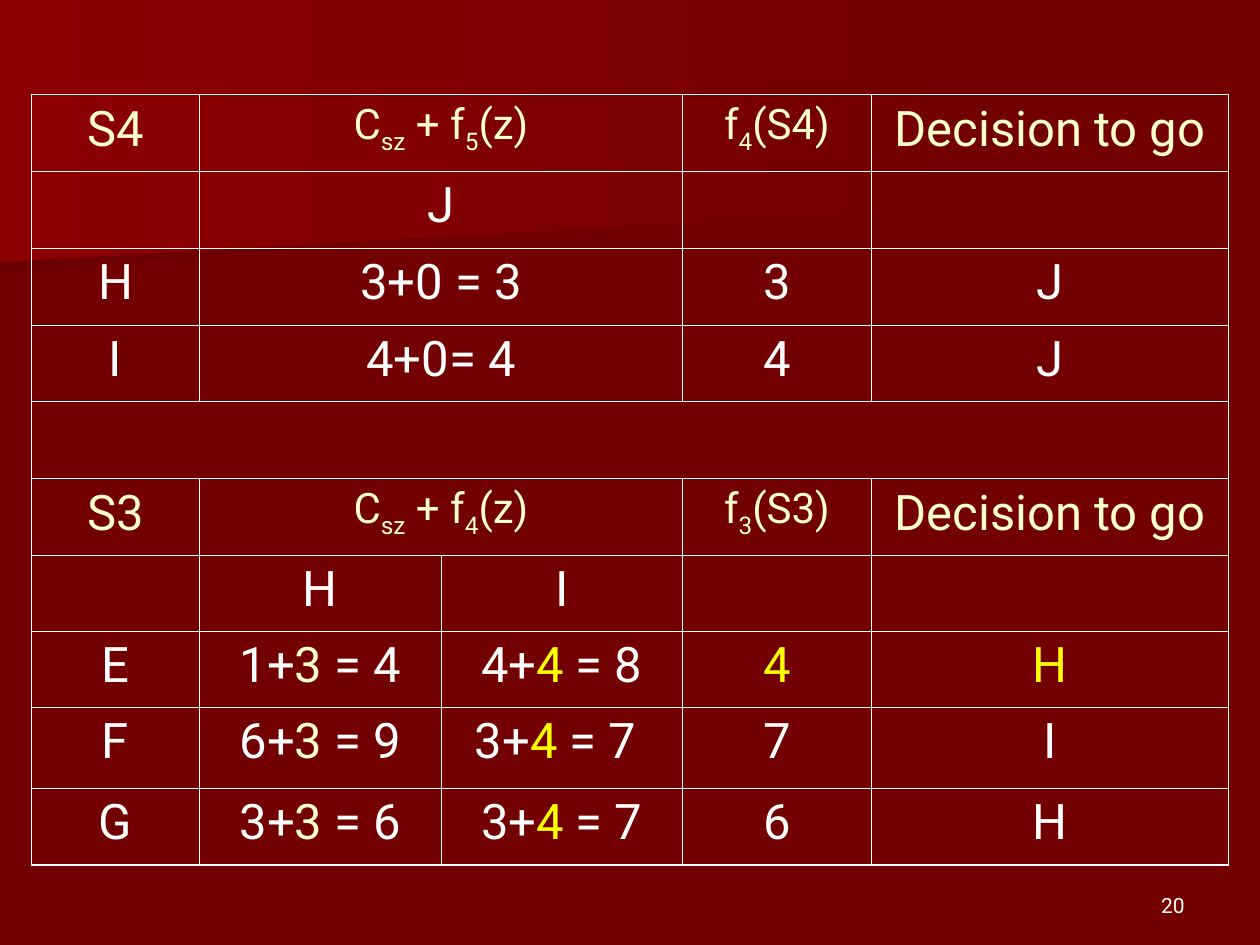
from lxml import etree
from pptx import Presentation
from pptx.dml.color import RGBColor
from pptx.enum.text import MSO_ANCHOR, PP_ALIGN
from pptx.oxml.ns import qn
from pptx.util import Pt

CENTER, RIGHT, BOTTOM = PP_ALIGN.CENTER, PP_ALIGN.RIGHT, MSO_ANCHOR.BOTTOM
FONT = "Roboto"
COLORS = {"ground": "720000", "shade": "6B0000", "glow": "8C0000",
          "white": "FFFFFF", "cream": "FFFFCC", "yellow": "FFFF00"}
# A leading mark on a span sets its colour; "_" makes it a subscript
MARKS = {"*": "cream", "^": "yellow"}


def rgb(name):
    return RGBColor.from_string(COLORS[name])


def add_span(para, text, size, color):
    span = para.add_run()
    span.text = text
    span.font.name = FONT
    span.font.size = Pt(size)
    span.font.color.rgb = rgb(color)
    return span


deck = Presentation()
deck.slide_width, deck.slide_height = Pt(720), Pt(540)
page = deck.slides.add_slide(deck.slide_layouts[6])
page.background.fill.solid()
page.background.fill.fore_color.rgb = rgb("ground")

# Background bands, fading to the ground colour
bands = [
    ("shade", [(560.2, 110.2), (0, 156), (0, 72.7), (560.9, 72.7), (560.2, 92.2)]),
    ("glow", [(570.2, 116.6), (0, 149.8), (0, 0), (570.2, 0)]),
]
for color, points in bands:
    outline = [(Pt(x), Pt(y)) for x, y in points]
    builder = page.shapes.build_freeform(*outline[0])
    builder.add_line_segments(outline[1:], close=True)
    band = builder.convert_to_shape()
    band.shadow.inherit = False
    band.line.fill.background()
    band.fill.gradient()
    band.fill.gradient_angle = 0
    for stop, name in zip(band.fill.gradient_stops, (color, "ground")):
        stop.color.rgb = rgb(name)

# Page number
box = page.shapes.add_textbox(Pt(516), Pt(492), Pt(168), Pt(36))
box.text_frame.word_wrap = True
box.text_frame.vertical_anchor = BOTTOM
para = box.text_frame.paragraphs[0]
para.alignment = RIGHT
add_span(para, "20", 12, "white")

# Stage tables: "|" parts the spans, None continues the cell to the left
rows = [
    ["S4", "C|_sz| + f|_5|(z)", None, "f|_4|(S4)", "Decision to go"],
    ["", "J", None, "", ""],
    ["H", "3+0 = 3", None, "3", "J"],
    ["I", "4+0= 4", None, "4", "J"],
    ["", None, None, None, None],
    ["S3", "C|_sz| + f|_4|(z)", None, "f|_3|(S3)", "Decision to go"],
    ["", "H", "I", "", ""],
    ["E", "1+|*3| = 4", "4+|^4| = 8", "^4", "^H"],
    ["F", "6+|*3| = 9", "3+|^4| = 7 ", "7", "I"],
    ["G", "3+|*3| = 6", "3+|^4| = 7", "6", "H"],
]
header_rows = (0, 5)
widths = [96, 138, 138, 108, 204]
heights = [43.9] * 6 + [43.4, 43.4, 46.3, 43.9]
last_row, last_column = len(rows) - 1, len(widths) - 1

frame = page.shapes.add_table(len(rows), len(widths), Pt(18), Pt(54),
                              Pt(sum(widths)), Pt(sum(heights)))
table = frame.table
table.first_row = table.horz_banding = False
for column, width in zip(table.columns, widths):
    column.width = Pt(width)
for row, height in zip(table.rows, heights):
    row.height = Pt(height)

for r, texts in enumerate(rows):
    for c, text in enumerate(texts):
        cell = table.cell(r, c)
        if text is None:
            cell.fill.background()
            continue

        # Merge over the continued columns
        end = c
        while end < last_column and texts[end + 1] is None:
            end += 1
        if end > c:
            cell.merge(table.cell(r, end))

        # Borders, heavier on the outer edge
        properties = cell._tc.get_or_add_tcPr()
        outer = {"L": c == 0, "R": end == last_column,
                 "T": r == 0, "B": r == last_row}
        for side, is_outer in outer.items():
            line = etree.SubElement(properties, qn(f"a:ln{side}"),
                                    w=str(int(Pt(1.08 if is_outer else 0.45))))
            solid = etree.SubElement(line, qn("a:solidFill"))
            etree.SubElement(solid, qn("a:srgbClr"), val=COLORS["white"])
        cell.fill.background()

        # Text; formulas with subscripts are set smaller
        if not text:
            continue
        size = 24 if "_" in text else 28
        para = cell.text_frame.paragraphs[0]
        para.alignment = CENTER
        para.space_before = Pt(size / 4)
        base = "cream" if r in header_rows else "white"
        for part in text.split("|"):
            span = add_span(para, part.lstrip("_*^"), size, MARKS.get(part[0], base))
            if part[0] == "_":
                span.font._element.set("baseline", "-25000")

deck.save("out.pptx")
